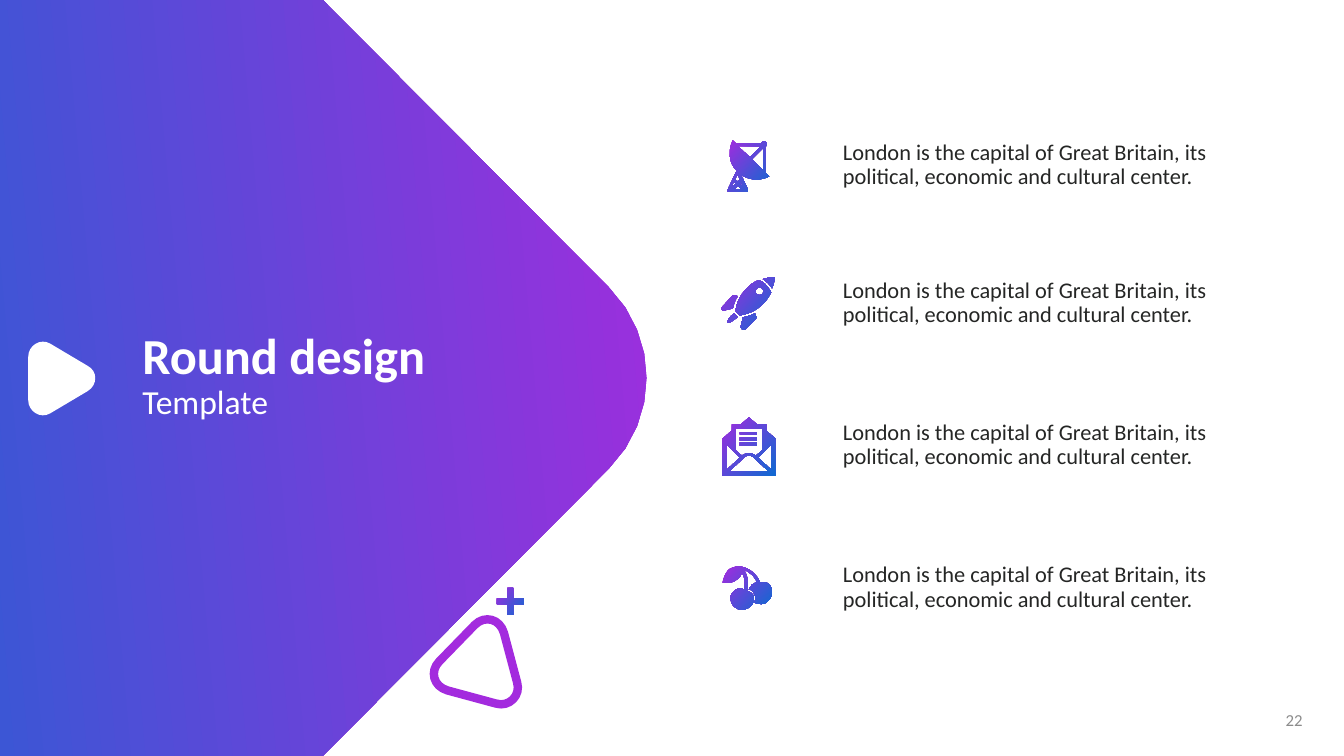
from pptx import Presentation
from pptx.dml.color import RGBColor
from pptx.enum.shapes import MSO_SHAPE as Kind
from pptx.enum.text import MSO_ANCHOR as Anchor, MSO_AUTO_SIZE as Fit, PP_ALIGN as Align
from pptx.util import Pt

rgb = RGBColor.from_string
UNIT = 0.72  # outlines are drawn on a grid of 0.72 pt
STEPS = 8    # straight pieces for each curve
BLEND = ("A32BDE", "0E6AD1", 320)
BODY = "London is the capital of Great Britain, its political, economic and cultural center."


def paint(shape, fill, edge=None):
    """Fill with a hex colour, a (from, to, angle) blend, or nothing."""
    shape.shadow.inherit = False
    if fill is None:
        shape.fill.background()
    elif isinstance(fill, str):
        shape.fill.solid()
        shape.fill.fore_color.rgb = rgb(fill)
    else:
        shape.fill.gradient()
        shape.fill.gradient_angle = fill[2]
        for stop, tint in zip(shape.fill.gradient_stops, fill):
            stop.color.rgb = rgb(tint)
    if edge:
        shape.line.color.rgb = rgb(edge)
        shape.line.width = Pt(6)
    else:
        shape.line.fill.background()


def write(para, text, tint, size, bold=False):
    run = para.add_run()
    run.text = text
    look = {"name": "Calibri", "size": Pt(size), "bold": bold}
    for key, value in look.items():
        setattr(run.font, key, value)
    run.font.color.rgb = rgb(tint)


deck = Presentation()
deck.slide_width, deck.slide_height = Pt(960), Pt(540)
slide = deck.slides.add_slide(deck.slide_layouts[5])
shapes = slide.shapes

# Outlines: M starts a contour, L adds lines, C adds curves
ring = ("M 471,620 C 481,610 496,614 500,628 L 513,677 C 517,690 505,702 492,698 "
        "L 444,685 C 430,681 426,666 436,656")
wedge = "M 0,0 L 320,0 604,285 C 654,335 654,415 604,465 L 320,750 0,750"
play = ("M 28,354 C 28,343 40,335 50,341 L 87,363 C 97,368 97,382 87,388 "
        "L 50,410 C 40,416 28,408 28,397")
dish = """M 757,147 L 757,169 746,158 M 732,145 L 755,145 744,156
M 732,180 L 729,178 732,173 734,178 M 734,182 L 735,180 738,187
M 725,187 L 728,180 730,182 M 732,184 L 736,188 728,188
M 763,175 L 759,171 759,146 760,145 C 761,144 761,142 760,141 759,140 757,140 756,141
L 755,142 730,142 727,139 C 725,143 724,147 724,152 724,159 726,165 731,169
L 722,188 C 722,188 722,189 722,190 722,190 723,190 724,190
L 740,190 C 741,190 741,190 742,190 742,189 742,188 742,188
L 735,173 C 739,176 745,178 750,178 755,178 759,177 763,175"""
rocket = """M 728,311 C 729,311 729,312 730,313 731,314 733,314 730,316
728,318 723,321 722,320 721,319 724,314 727,312
M 749,311 L 750,314 C 751,314 750,316 750,316 L 739,327 C 738,328 735,327 735,324
L 737,315 C 741,314 745,313 749,311
M 730,293 L 732,294 C 729,298 728,303 727,306 L 719,308 C 716,309 715,306 717,304
L 727,293 C 728,293 729,293 730,293
M 754,285 C 753,285 752,286 751,286 749,288 749,290 751,292
752,293 755,293 756,292 758,290 758,288 756,286 756,286 755,285 754,285
M 753,278 C 755,279 758,280 760,283 762,285 764,288 765,290
763,294 761,298 756,302 749,310 739,312 734,313 L 730,309
C 730,303 733,294 741,286 745,282 749,279 753,278
M 767,275 C 768,275 768,275 768,275 769,276 768,281 766,286
765,285 764,283 762,281 760,279 758,278 757,277 760,276 764,275 767,275"""
letter = """M 743,452 C 741,452 738,453 737,455 L 736,456 723,468 763,468 750,456 749,455
C 747,453 745,452 743,452 M 765,441 L 752,454 765,466 M 721,441 L 721,466 734,454
M 734,439 L 751,439 751,442 734,442 M 734,434 L 751,434 751,437 734,437
M 734,429 L 751,429 751,431 734,431
M 730,425 L 730,447 736,452 C 740,449 746,449 750,452 L 756,447 756,425
M 743,414 L 751,421 760,421 760,427 769,435 769,472 717,472 717,435 726,427 726,421 735,421"""
cherry = """M 765,583 C 764,581 763,579 760,578 759,578 758,578 756,578
755,578 755,578 754,578 751,570 743,563 734,562 734,561 733,562 733,562
730,562 726,563 723,565 718,570 717,578 717,578 717,578 725,580 731,575
734,573 735,571 736,568 C 739,573 740,579 738,585 737,584 735,584 733,584
732,584 731,584 731,585 L 730,585 C 727,587 726,589 725,591 723,602 734,605 734,605
734,605 745,606 748,596 748,593 748,591 746,589 745,588 744,587 742,587
742,587 741,586 741,586 743,579 742,572 738,565 744,568 749,572 751,578
749,578 748,579 746,580 L 745,582 744,583 743,585 C 745,585 746,586 747,587
749,590 750,593 749,596 749,597 749,597 749,598 753,600 758,599 758,599
758,599 769,594 765,583"""

# Backdrop and icons, back to front
drawn = []
for outline, fill, edge in [(ring, None, "A32BDE"), (wedge, ("9D2EDD", "3C56D5", 185), None),
                            (play, "FFFFFF", None), (dish, BLEND, None), (rocket, BLEND, None),
                            (letter, BLEND, None), (cherry, BLEND, None)]:
    loops, mode, wait = [], "", []
    for word in outline.split():
        if word in "MLC":
            mode = word
            continue
        dot = tuple(int(n) * UNIT for n in word.split(","))
        if mode == "M":
            loops.append([dot])
        elif mode == "L":
            loops[-1].append(dot)
        else:
            wait.append(dot)
            if len(wait) == 3:
                ends = list(zip(loops[-1][-1], *wait))
                for step in range(1, STEPS + 1):
                    t = step / STEPS
                    u = 1 - t
                    loops[-1].append(tuple(a * u**3 + 3 * b * u * u * t + 3 * c * u * t * t + d * t**3
                                           for a, b, c, d in ends))
                wait = []
    loops = [[(Pt(x), Pt(y)) for x, y in loop] for loop in loops]
    pen = shapes.build_freeform(*loops[0][0], scale=1.0)
    for loop in loops:
        if loop is not loops[0]:
            pen.move_to(*loop[0])
        pen.add_line_segments(loop[1:], close=True)
    shape = pen.convert_to_shape()
    paint(shape, fill, edge)
    drawn.append(shape)

# Small plus
plus = shapes.add_shape(Kind.CROSS, Pt(355), Pt(420), Pt(19), Pt(19))
plus.adjustments[0] = 0.39
paint(plus, BLEND)

# Title, in front of the wedge
title = shapes.title
drawn[1].element.addnext(title.element)
title.left, title.top, title.width, title.height = Pt(94.5), Pt(232.5), Pt(383), Pt(74)
frame = title.text_frame
for key, value in {"word_wrap": True, "auto_size": Fit.NONE, "vertical_anchor": Anchor.TOP}.items():
    setattr(frame, key, value)
para = frame.paragraphs[0]
para.alignment, para.line_spacing = Align.LEFT, 0.9
write(para, "Round design", "FFFFFF", 36, True)
para.add_line_break()
write(para, "Template", "FFFFFF", 24)

# Text beside the icons, and the page number
notes = [(595, top, 309, 43, BODY, "252625", 16, Align.LEFT, Anchor.TOP)
         for top in (97, 196, 297.5, 399)]
notes.append((889, 500.5, 48.5, 29, "22", "8C8C8C", 12, Align.RIGHT, Anchor.MIDDLE))
for left, top, wide, high, text, tint, size, side, hold in notes:
    frame = shapes.add_textbox(Pt(left), Pt(top), Pt(wide), Pt(high)).text_frame
    frame.word_wrap, frame.vertical_anchor = True, hold
    para = frame.paragraphs[0]
    para.alignment, para.line_spacing = side, 0.9
    write(para, text, tint, size)

deck.save("out.pptx")
